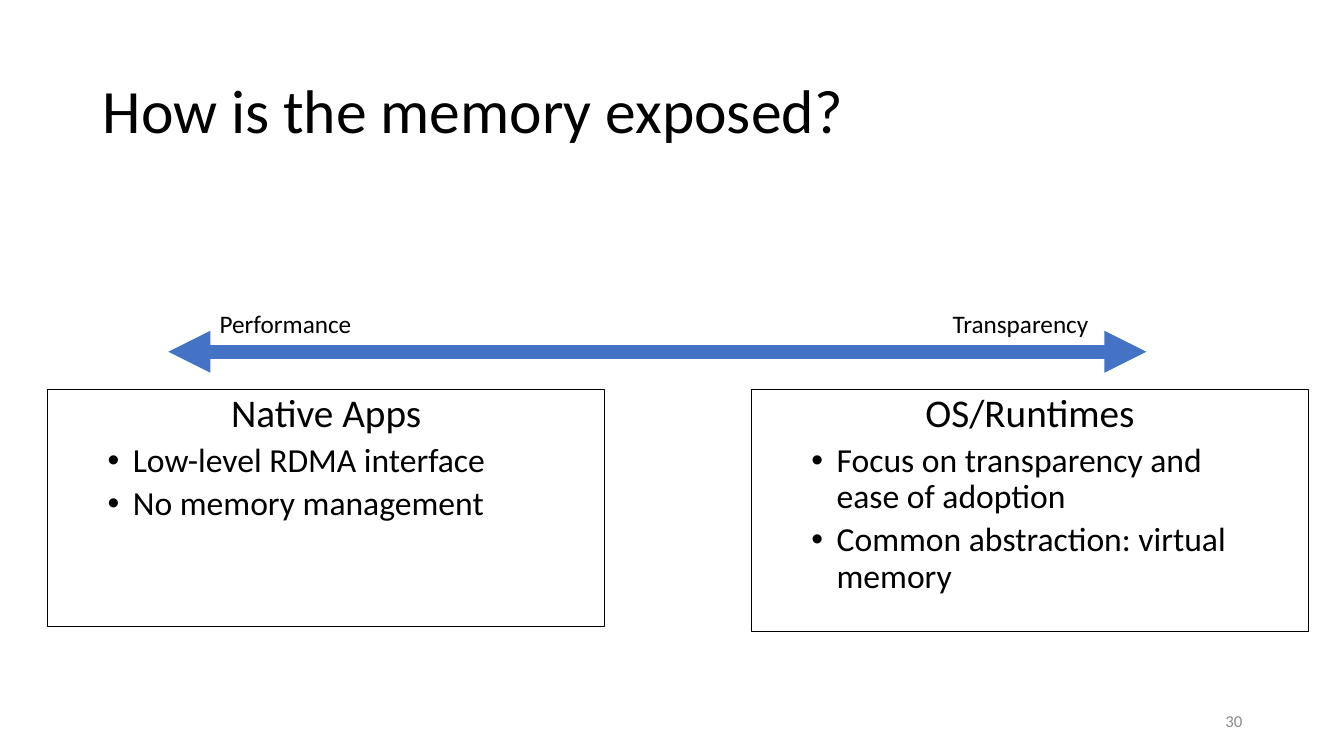
from dataclasses import dataclass
from typing import Any

from lxml import etree
from pptx import Presentation
from pptx import util as u
from pptx.dml.color import RGBColor
from pptx.enum import shapes, text
from pptx.oxml.ns import qn

EMU_PER_PX = 9144  # 100 px to the inch
BLACK = RGBColor(0x00, 0x00, 0x00)
GRAY = RGBColor(0x8C, 0x8C, 0x8C)
BLUE = RGBColor(0x44, 0x72, 0xC4)
FONT = "Calibri"

HEADING_FORMAT = {"alignment": text.PP_ALIGN.CENTER, "line_spacing": 0.9, "space_before": u.Pt(10)}
BULLET_FORMAT = {"level": 1, "line_spacing": 0.9, "space_before": u.Pt(5)}
BULLET_INDENT = {"marL": 75, "indent": -25}


@dataclass(frozen=True)
class Box:
    left: int
    top: int
    width: int
    height: int


@dataclass(frozen=True)
class Label:
    wording: str
    box: Box
    size: int
    color: RGBColor = BLACK
    anchor: text.MSO_ANCHOR = text.MSO_ANCHOR.TOP
    alignment: text.PP_ALIGN = text.PP_ALIGN.LEFT
    line_spacing: float = 1.0
    wrap: bool = True


@dataclass(frozen=True)
class Panel:
    heading: str
    bullets: tuple[str, ...]
    box: Box


LABELS = (
    Label("How is the memory exposed?", Box(92, 40, 1150, 145), 44,
          anchor=text.MSO_ANCHOR.MIDDLE, line_spacing=0.9),
    Label("30", Box(942, 695, 300, 40), 12, GRAY,
          text.MSO_ANCHOR.MIDDLE, text.PP_ALIGN.RIGHT),
    Label("Performance", Box(208, 301, 152, 40), 18, wrap=False),
    Label("Transparency", Box(935, 301, 156, 40), 18, wrap=False),
)
PANELS = (
    Panel("Native Apps", ("Low-level RDMA interface", "No memory management"),
          Box(47, 386, 553, 236)),
    Panel("OS/Runtimes",
          ("Focus on transparency and\vease of adoption", "Common abstraction: virtual memory"),
          Box(745, 386, 553, 241)),
)


def px(length: int) -> u.Emu:
    return u.Emu(length * EMU_PER_PX)


def place(box: Box) -> tuple[u.Emu, ...]:
    return px(box.left), px(box.top), px(box.width), px(box.height)


def apply_format(target: Any, values: dict[str, Any]) -> None:
    for name, value in values.items():
        setattr(target, name, value)


def write(paragraph: Any, wording: str, size: int, color: RGBColor, values: dict[str, Any]) -> None:
    """Fill a paragraph; a vertical tab in the wording becomes a line break."""
    paragraph.text = wording
    apply_format(paragraph, values)
    for run in paragraph.runs:
        apply_format(run.font, {"name": FONT, "size": u.Pt(size)})
        run.font.color.rgb = color


def add_bullet(paragraph: Any) -> None:
    properties = paragraph._p.get_or_add_pPr()
    for name, length in BULLET_INDENT.items():
        properties.set(name, str(px(length)))
    etree.SubElement(properties, qn("a:buFont"), typeface="Arial")
    etree.SubElement(properties, qn("a:buChar"), char="•")


def add_label(slide: Any, label: Label) -> None:
    frame = slide.shapes.add_textbox(*place(label.box)).text_frame
    apply_format(frame, {"word_wrap": label.wrap, "vertical_anchor": label.anchor})
    write(frame.paragraphs[0], label.wording, label.size, label.color,
          {"alignment": label.alignment, "line_spacing": label.line_spacing})


def add_panel(slide: Any, panel: Panel) -> None:
    shape = slide.shapes.add_shape(shapes.MSO_SHAPE.RECTANGLE, *place(panel.box))
    shape.shadow.inherit = False
    shape.fill.background()
    shape.line.color.rgb = BLACK
    shape.line.width = u.Pt(0.75)
    frame = shape.text_frame
    apply_format(frame, {"word_wrap": True, "vertical_anchor": text.MSO_ANCHOR.TOP})
    write(frame.paragraphs[0], panel.heading, 28, BLACK, HEADING_FORMAT)
    for bullet in panel.bullets:
        paragraph = frame.add_paragraph()
        write(paragraph, bullet, 24, BLACK, BULLET_FORMAT | {"alignment": text.PP_ALIGN.LEFT})
        add_bullet(paragraph)


def add_double_arrow(slide: Any, left: int, right: int, y: int) -> None:
    arrow = slide.shapes.add_connector(
        shapes.MSO_CONNECTOR.STRAIGHT, px(left), px(y), px(right), px(y))
    arrow.line.color.rgb = BLUE
    arrow.line.width = u.Pt(10)
    outline = arrow.line._get_or_add_ln()
    for end in ("a:headEnd", "a:tailEnd"):
        etree.SubElement(outline, qn(end), type="triangle")
    etree.SubElement(arrow._element.spPr, qn("a:effectLst"))


def main() -> None:
    presentation = Presentation()
    presentation.slide_width, presentation.slide_height = px(1333), px(750)
    slide = presentation.slides.add_slide(presentation.slide_layouts[6])
    for panel in PANELS:
        add_panel(slide, panel)
    add_double_arrow(slide, 167, 1137, 349)
    for label in LABELS:
        add_label(slide, label)
    presentation.save("out.pptx")


if __name__ == "__main__":
    main()
